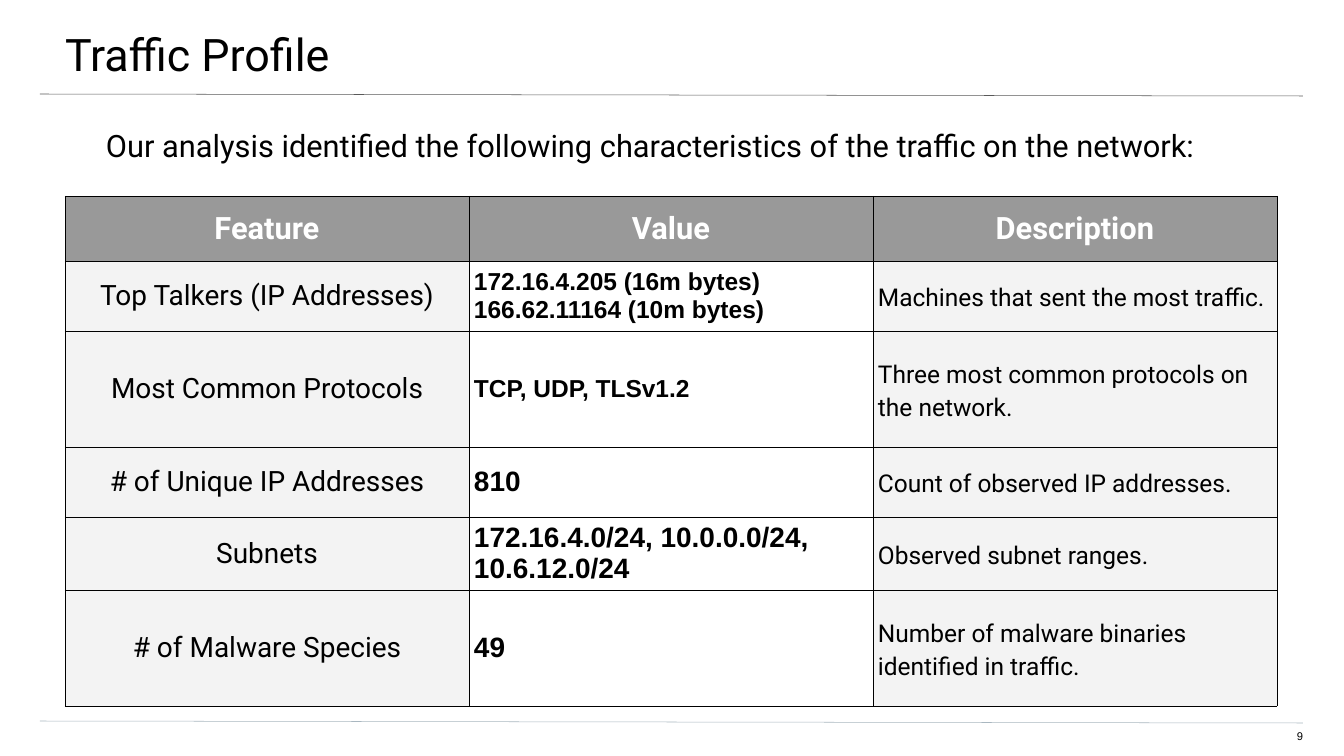
from lxml import etree
from pptx import Presentation
from pptx.dml.color import RGBColor
from pptx.enum.shapes import MSO_CONNECTOR
from pptx.enum.text import MSO_ANCHOR, PP_ALIGN
from pptx.oxml.ns import qn
from pptx.util import Pt

PX = 18143  # EMU per px, 50.4 px to the inch
STRAIGHT = MSO_CONNECTOR.STRAIGHT
TOP, MIDDLE = MSO_ANCHOR.TOP, MSO_ANCHOR.MIDDLE
LEFT, CENTER, RIGHT = PP_ALIGN.LEFT, PP_ALIGN.CENTER, PP_ALIGN.RIGHT

COLORS = {
    "text": "000000",
    "header_text": "FFFFFF",
    "header_fill": "999999",
    "cell_fill": "F3F3F3",
    "border": "000000",
    "top_rule": "595959",
    "bottom_rule": "A9B7C0",
}

HEADERS = ["Feature", "Value", "Description"]
# feature, value, size of value, description, row height
TRAFFIC = [
    ("Top Talkers (IP Addresses)",
     "172.16.4.205 (16m bytes)\n166.62.11164 (10m bytes)", 35,
     "Machines that sent the most traffic.", 70),
    ("Most Common Protocols", "TCP, UDP, TLSv1.2", 35,
     "Three most common protocols on the network.", 116),
    ("# of Unique IP Addresses", "810", 40,
     "Count of observed IP addresses.", 70),
    ("Subnets", "172.16.4.0/24, 10.0.0.0/24, 10.6.12.0/24", 40,
     "Observed subnet ranges.", 70),
    ("# of Malware Species", "49", 40,
     "Number of malware binaries identified in traffic.", 116),
]
HEADER_HEIGHT = 65
COLUMN_WIDTH = 404


def px(length):
    return length * PX


def color(name):
    return RGBColor.from_string(COLORS[name])


def write(frame, text, size, font="Roboto", ink="text", bold=False,
          align=LEFT, line_spacing=None, space_after=0):
    """Fill a text frame, one paragraph for each line of text."""
    frame.word_wrap = True
    frame.text = text
    for paragraph in frame.paragraphs:
        paragraph.alignment = align
        paragraph.line_spacing = line_spacing
        paragraph.space_after = Pt(space_after)
        for run in paragraph.runs:
            run.font.name = font
            run.font.size = Pt(size)
            run.font.bold = bold
            run.font.color.rgb = color(ink)


def add_text(slide, box, insets, text, size, **text_format):
    frame = slide.shapes.add_textbox(*map(px, box)).text_frame
    frame.vertical_anchor = TOP
    (frame.margin_left, frame.margin_top,
     frame.margin_right, frame.margin_bottom) = map(px, insets)
    write(frame, text, size, **text_format)


def add_rule(slide, start, end, ink):
    rule = slide.shapes.add_connector(STRAIGHT, *map(px, start + end))
    rule.line.color.rgb = color(ink)
    rule.line.width = Pt(0.75)
    etree.SubElement(rule._element.spPr, qn("a:effectLst"))


def add_borders(cell):
    properties = cell._tc.get_or_add_tcPr()
    for position, side in enumerate(("lnL", "lnR", "lnT", "lnB")):
        border = etree.Element(qn(f"a:{side}"), w=str(Pt(0.75)))
        fill = etree.SubElement(border, qn("a:solidFill"))
        etree.SubElement(fill, qn("a:srgbClr"), val=COLORS["border"])
        properties.insert(position, border)


def fill_cell(cell, text, size, fill=None, **text_format):
    cell.vertical_anchor = MIDDLE
    cell.margin_left = cell.margin_right = px(5)
    cell.margin_top = cell.margin_bottom = px(3)
    if fill:
        cell.fill.solid()
        cell.fill.fore_color.rgb = color(fill)
    else:
        cell.fill.background()
    add_borders(cell)
    write(cell.text_frame, text, size, **text_format)


def add_traffic_table(slide, left, top):
    heights = [HEADER_HEIGHT] + [row[-1] for row in TRAFFIC]
    table = slide.shapes.add_table(
        len(heights), len(HEADERS), px(left), px(top),
        px(COLUMN_WIDTH * len(HEADERS)), px(sum(heights))).table
    table.horz_banding = False
    for column in table.columns:
        column.width = px(COLUMN_WIDTH)
    for row, height in zip(table.rows, heights):
        row.height = px(height)

    for column, header in enumerate(HEADERS):
        fill_cell(table.cell(0, column), header, 44, fill="header_fill",
                  ink="header_text", bold=True, align=CENTER)
    for row, (feature, value, value_size, description, _) in enumerate(TRAFFIC, 1):
        fill_cell(table.cell(row, 0), feature, 40, fill="cell_fill", align=CENTER)
        fill_cell(table.cell(row, 1), value, value_size, font="Arial", bold=True)
        fill_cell(table.cell(row, 2), description, 35, fill="cell_fill",
                  line_spacing=1.15, space_after=10)


def main():
    presentation = Presentation()
    presentation.slide_width = px(1344)
    presentation.slide_height = px(756)
    slide = presentation.slides.add_slide(presentation.slide_layouts[6])

    add_rule(slide, (40, 94), (1303, 96), "top_rule")
    add_rule(slide, (40, 721), (1303, 723), "bottom_rule")
    add_text(slide, (-2, 0, 1347, 79), (67, 27, 40, 13), "Traffic Profile", 64)
    add_text(slide, (1265, 729, 38, 16), (0, 0, 0, 13), "9", 16,
             font="Arial", align=RIGHT)
    add_text(slide, (39, 127, 1264, 544), (67, 0, 67, 0),
             "Our analysis identified the following characteristics "
             "of the traffic on the network:", 44, space_after=12)
    add_traffic_table(slide, 65, 196)

    presentation.save("out.pptx")


if __name__ == "__main__":
    main()
